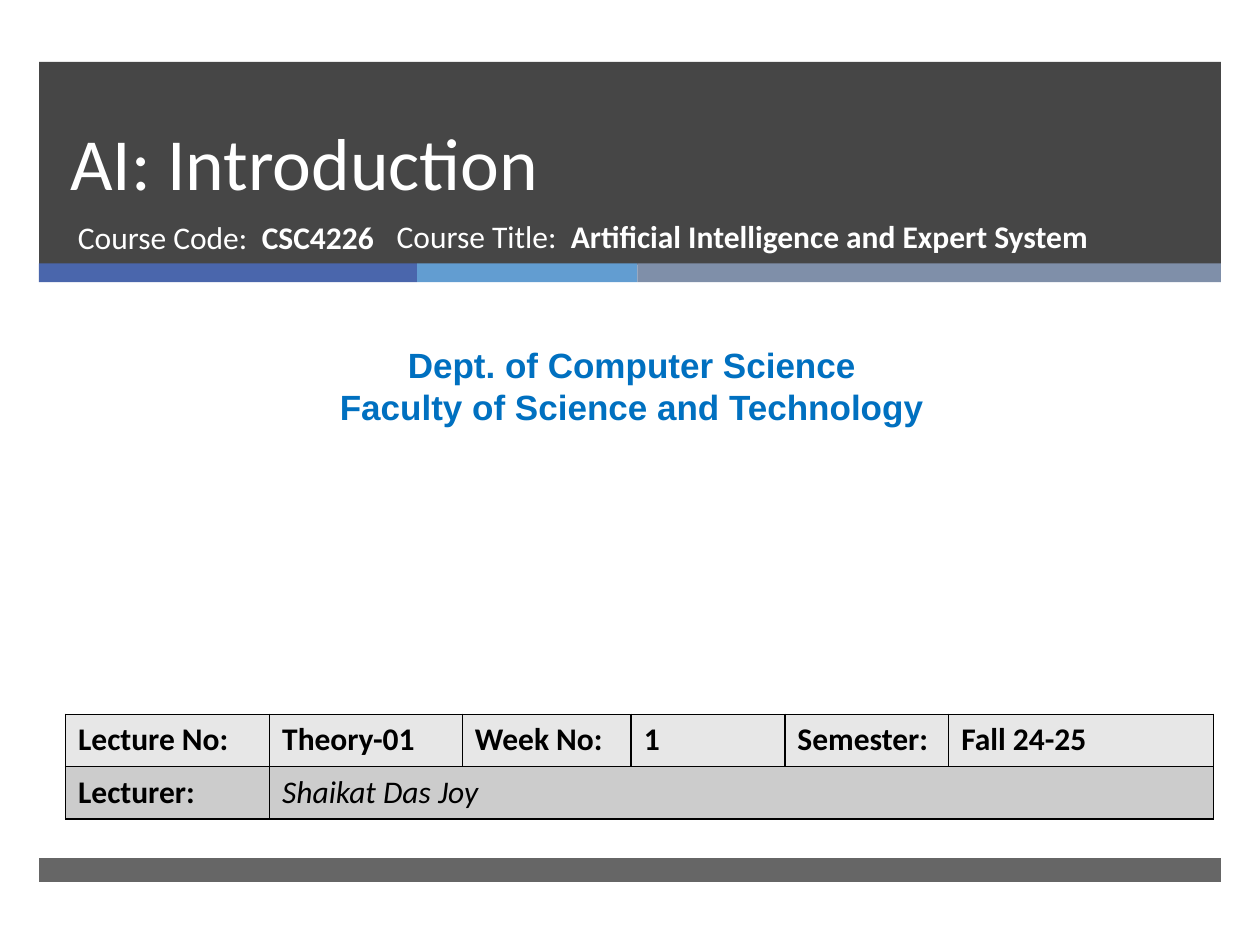
from typing import NamedTuple

from lxml.etree import SubElement
from pptx import Presentation
from pptx.dml.color import RGBColor
from pptx.enum.shapes import MSO_SHAPE
from pptx.enum.text import MSO_ANCHOR, PP_ALIGN
from pptx.oxml import parse_xml
from pptx.oxml.ns import nsdecls, qn
from pptx.util import Inches, Pt

WHITE = RGBColor(0xFF, 0xFF, 0xFF)
BLACK = RGBColor(0x00, 0x00, 0x00)
CHARCOAL = RGBColor(0x26, 0x26, 0x26)
INDIGO = RGBColor(0x4A, 0x66, 0xAC)
SKY = RGBColor(0x62, 0x9D, 0xD1)
SLATE = RGBColor(0x7F, 0x8F, 0xA9)
DEPT_BLUE = RGBColor(0x00, 0x70, 0xC0)
LIGHT_GREY = RGBColor(0xE7, 0xE7, 0xE7)
MID_GREY = RGBColor(0xCC, 0xCC, 0xCC)


class Box(NamedTuple):
    left: float
    top: float
    width: float
    height: float


class Band(NamedTuple):
    box: Box
    color: RGBColor
    opacity: int = 100


class Field(NamedTuple):
    box: Box
    label: str
    value: str


BANDS = [
    Band(Box(0.31, 0.49, 9.38, 1.61), CHARCOAL, 85),
    Band(Box(0.31, 2.09, 3, 0.15), INDIGO),
    Band(Box(3.31, 2.09, 1.75, 0.15), SKY),
    Band(Box(5.06, 2.09, 4.63, 0.15), SLATE),
    Band(Box(0.31, 6.81, 9.38, 0.19), CHARCOAL, 70),
]
COURSE_FIELDS = [
    Field(Box(0.52, 1.68, 3.05, 0.53), "Course Code:  ", "CSC4226"),
    Field(Box(3.05, 1.67, 5.72, 0.53), "Course Title:  ",
          "Artificial Intelligence and Expert System"),
]
COLUMN_WIDTHS = [1.62, 1.53, 1.34, 1.22, 1.3, 2.1]
ROWS = [
    (LIGHT_GREY, ["Lecture No:", "Theory-01", "Week No:", "1", "Semester:", "Fall 24-25"]),
    (MID_GREY, ["Lecturer:", "Shaikat Das Joy"]),
]


def inches(box: Box) -> list:
    return [Inches(v) for v in box]


def set_font(p, name: str, size: float, color: RGBColor, bold: bool = False) -> None:
    p.font.name = name
    p.font.size = Pt(size)
    p.font.bold = bold
    p.font.color.rgb = color


def add_band(s, band: Band) -> None:
    sp = s.shapes.add_shape(MSO_SHAPE.RECTANGLE, *inches(band.box))
    sp.shadow.inherit = False
    sp.line.fill.background()
    sp.fill.solid()
    sp.fill.fore_color.rgb = band.color
    if band.opacity < 100:
        color = sp._element.spPr.find(qn("a:solidFill"))[0]
        SubElement(color, qn("a:alpha")).set("val", str(band.opacity * 1000))


def add_text_frame(s, box: Box):
    tf = s.shapes.add_textbox(*inches(box)).text_frame
    tf.word_wrap = True
    return tf


def add_title(s) -> None:
    tf = add_text_frame(s, Box(0.46, 0.49, 8.54, 1.19))
    tf.vertical_anchor = MSO_ANCHOR.BOTTOM
    p = tf.paragraphs[0]
    p.text = "AI: Introduction"
    p.line_spacing = Pt(46)
    set_font(p, "Calibri", 42, WHITE)


def add_field(s, field: Field) -> None:
    p = add_text_frame(s, field.box).paragraphs[0]
    set_font(p, "Calibri", 18, WHITE)
    p.add_run().text = field.label
    r = p.add_run()
    r.text = field.value
    r.font.bold = True


def add_department(s) -> None:
    tf = add_text_frame(s, Box(0.08, 2.68, 9.87, 0.77))
    tf.text = "Dept. of Computer Science\nFaculty of Science and Technology"
    for p in tf.paragraphs:
        p.alignment = PP_ALIGN.CENTER
        set_font(p, "Arial", 20, DEPT_BLUE, bold=True)


def add_borders(cell) -> None:
    """Draw a 1 pt black line on all four sides; lines must precede the fill."""
    tc_pr = cell._tc.get_or_add_tcPr()
    for i, side in enumerate(("lnL", "lnR", "lnT", "lnB")):
        tc_pr.insert(i, parse_xml(
            f'<a:{side} {nsdecls("a")} w="{Pt(1)}"><a:solidFill>'
            f'<a:srgbClr val="{BLACK}"/></a:solidFill></a:{side}>'))


def add_lecture_table(s) -> None:
    box = Box(0.52, 5.67, sum(COLUMN_WIDTHS), 0.83)
    table = s.shapes.add_table(len(ROWS), len(COLUMN_WIDTHS), *inches(box)).table
    for column, width in zip(table.columns, COLUMN_WIDTHS):
        column.width = Inches(width)
    for row, (fill, texts) in enumerate(ROWS):
        for col in range(len(COLUMN_WIDTHS)):
            cell = table.cell(row, col)
            cell.fill.solid()
            cell.fill.fore_color.rgb = fill
            add_borders(cell)
            if col < len(texts):
                cell.text = texts[col]
                set_font(cell.text_frame.paragraphs[0], "Calibri", 18, BLACK, bold=True)
    lecturer = table.cell(1, 1)
    lecturer.merge(table.cell(1, len(COLUMN_WIDTHS) - 1))
    font = lecturer.text_frame.paragraphs[0].font
    font.bold = False
    font.italic = True


def main() -> None:
    prs = Presentation()
    prs.slide_width, prs.slide_height = Inches(10), Inches(7.5)
    s = prs.slides.add_slide(prs.slide_layouts[6])
    for band in BANDS:
        add_band(s, band)
    add_title(s)
    for field in COURSE_FIELDS:
        add_field(s, field)
    add_department(s)
    add_lecture_table(s)
    prs.save("out.pptx")


if __name__ == "__main__":
    main()
